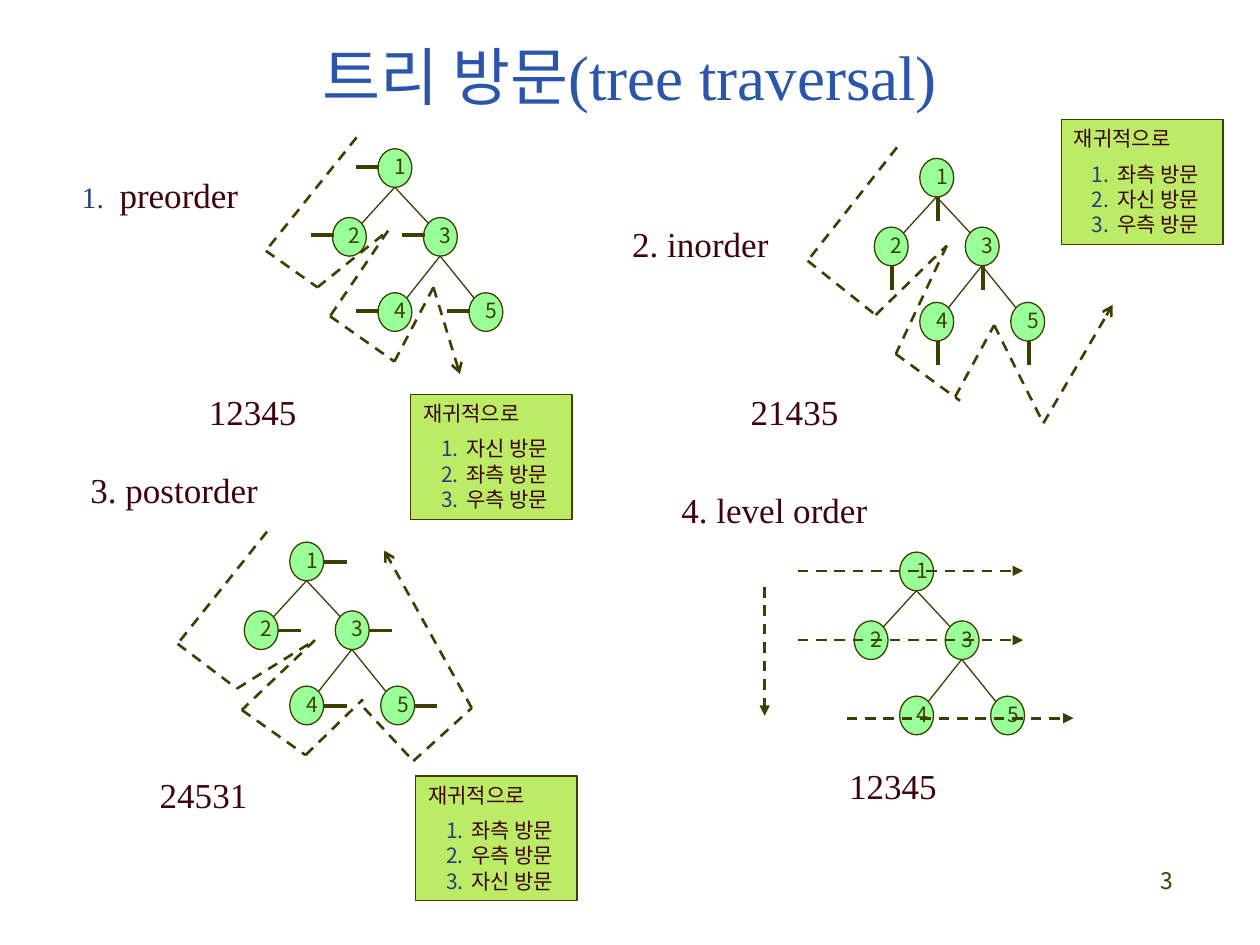
import itertools
import pptx
import pptx.util
import pptx.dml.color
import pptx.enum.dml
import pptx.enum.shapes
import pptx.enum.text
import pptx.oxml.ns
from dataclasses import dataclass
from lxml import etree

Pt = pptx.util.Pt
RGB = pptx.dml.color.RGBColor.from_string
qn = pptx.oxml.ns.qn
Kind = pptx.enum.shapes.MSO_SHAPE
Align = pptx.enum.text.PP_ALIGN
Anchor = pptx.enum.text.MSO_ANCHOR


@dataclass
class Theme:
    ink: str = "3F3E00"
    text: str = "3E020C"
    blue: str = "2A55AA"
    mark: str = "204080"
    node: str = "99FF99"
    card: str = "BCEB65"
    serif: str = "Times New Roman"
    sans: str = "Noto Sans CJK KR"
    title: float = 36
    head: float = 20
    page: float = 13
    small: float = 12
    thin: float = 0.75
    dash: float = 1.5
    bold: float = 2.25


look = Theme()
deck = pptx.Presentation()
deck.slide_width, deck.slide_height = Pt(720), Pt(540)
slide = deck.slides.add_slide(deck.slide_layouts[6])
shapes = slide.shapes


def write(shape, words, size, font, tone, align=Align.LEFT, indent=0, wrap=True):
    """Fill a shape with text; an indent turns its lines into a numbered list."""
    frame = shape.text_frame
    frame.text = words
    frame.word_wrap = wrap
    for para in frame.paragraphs:
        para.alignment = align
        run = para.runs[0]
        run.font.size = Pt(size)
        run.font.name = font
        run.font.color.rgb = RGB(tone)
        east = etree.SubElement(run.font._element, qn("a:ea"))
        east.set("typeface", look.sans)
        if indent:
            props = para._p.get_or_add_pPr()
            props.set("marL", str(Pt(indent)))
            props.set("indent", str(-Pt(indent)))
            paint = etree.SubElement(props, qn("a:buClr"))
            etree.SubElement(paint, qn("a:srgbClr")).set("val", look.mark)
            if size == look.head:
                etree.SubElement(props, qn("a:buSzPct")).set("val", "85000")
            etree.SubElement(props, qn("a:buFont")).set("typeface", look.sans)
            etree.SubElement(props, qn("a:buAutoNum")).set("type", "arabicPeriod")


def trace(points, width, dash=False, tip=None):
    """Join the points with straight lines; the tip is an arrowhead at the end."""
    for start, end in itertools.pairwise(points):
        line = shapes.add_connector(
            pptx.enum.shapes.MSO_CONNECTOR.STRAIGHT, *map(Pt, start + end))
        line.line.color.rgb = RGB(look.ink)
        line.line.width = Pt(width)
        if dash:
            line.line.dash_style = pptx.enum.dml.MSO_LINE.DASH
        if tip and end == points[-1]:
            etree.SubElement(line.line._get_or_add_ln(), qn("a:tailEnd")).set("type", tip)
        etree.SubElement(line._element.spPr, qn("a:effectLst"))


# Title and page number
title = shapes.add_textbox(Pt(54), Pt(12.2), Pt(612), Pt(61.2))
write(title, "트리 방문(tree traversal)", look.title, look.serif, look.blue, Align.CENTER)
title.text_frame.vertical_anchor = Anchor.MIDDLE
page = shapes.add_textbox(Pt(527.8), Pt(491.8), Pt(149.8), Pt(36))
write(page, "3", look.page, look.sans, look.ink, Align.RIGHT)

# Headings
heads = [
    ("preorder", 39.6, 95.8, 21.6),
    ("2. inorder", 354.2, 123.8, 0),
    ("3. postorder", 44.6, 264.2, 0),
    ("4. level order", 382.3, 275.8, 0),
]
for words, left, top, indent in heads:
    head = shapes.add_textbox(Pt(left), Pt(top), Pt(123.8), Pt(31.7))
    write(head, words, look.head, look.serif, look.text, indent=indent)

# Trees: corner of the root, and the visit mark beside each node
nodes = [(0, 0), (-26, 39.3), (26, 39.3), (0, 82.3), (52, 82.3)]
edges = [
    [(-9.4, 42.8), (9.6, 22), (29, 42.8)],
    [(16.5, 85.2), (35.5, 61.3), (54.8, 85.2)],
]
trees = [
    (216, 85, [(-12.4, 10.2), (0.7, 10.2)]),
    (525.6, 90.5, [(10.2, 22.3), (10.2, 36)]),
    (165.6, 309.8, [(19.3, 11.2), (32.4, 11.2)]),
    (514.1, 315.5, []),
]
for left, top, mark in trees:
    for label, (x, y) in enumerate(nodes, 1):
        node = shapes.add_shape(Kind.OVAL, Pt(left + x), Pt(top + y), Pt(19.4), Pt(22.1))
        node.shadow.inherit = False
        node.fill.solid()
        node.fill.fore_color.rgb = RGB(look.node)
        node.line.color.rgb = RGB(look.ink)
        node.line.width = Pt(look.thin)
        write(node, str(label), look.small, look.sans, look.ink, Align.CENTER)
        node.text_frame.paragraphs[0].line_spacing = 0.9
        trace([(left + x + a, top + y + b) for a, b in mark], look.bold)
    for edge in edges:
        trace([(left + a, top + b) for a, b in edge], look.thin)

# Dashed visiting routes
routes = [
    ("arrow", [(203.8, 78.5), (151.9, 143.3), (181.4, 164.2), (221.8, 131.8),
               (188.6, 180.7), (225.4, 206.6), (247.7, 164.2), (262.8, 213.8)]),
    (None, [(512.6, 84.2), (461.5, 149), (500.4, 180), (541, 140.4),
            (511.9, 202.3), (548.6, 229)]),
    ("arrow", [(545.8, 226.8), (568.1, 185.8), (596.2, 241.9), (635.8, 174.2)]),
    (None, [(152.6, 303.8), (101.5, 367.9), (135.4, 393.5), (180, 365.8),
            (138.2, 405.7), (174.6, 431.5), (207.4, 399.6)]),
    ("arrow", [(208.1, 404.6), (236.2, 434.9), (269.6, 404.6), (219.6, 314.6)]),
    ("triangle", [(455.8, 326.2), (584.6, 326.2)]),
    ("triangle", [(455.8, 365.8), (584.6, 365.8)]),
    ("triangle", [(483.8, 410.4), (613.4, 410.4)]),
    ("triangle", [(437, 335.5), (437, 409)]),
]
for tip, points in routes:
    trace(points, look.dash, True, tip)

# Visiting results
sums = [("12345", 112.3, 219.6), ("21435", 421.9, 219.6),
        ("24531", 84.2, 438.5), ("12345", 478.1, 433.4)]
for words, left, top in sums:
    total = shapes.add_textbox(Pt(left), Pt(top), Pt(64.8), Pt(31.7))
    write(total, words, look.head, look.serif, look.text, wrap=False)

# Cards with the recursive steps
cards = [(234.7, 225.4, "자신 좌측 우측"), (606.6, 68.4, "좌측 자신 우측"),
         (237.6, 443.5, "좌측 우측 자신")]
for left, top, order in cards:
    group = shapes.add_group_shape().shapes
    card = group.add_shape(Kind.RECTANGLE, Pt(left), Pt(top), Pt(92.2), Pt(71.3))
    card.shadow.inherit = False
    card.fill.solid()
    card.fill.fore_color.rgb = RGB(look.card)
    card.line.color.rgb = RGB(look.ink)
    card.line.width = Pt(look.thin)
    steps = group.add_textbox(Pt(left + 10.3), Pt(top + 20.2), Pt(81.4), Pt(51.1))
    lines = "\n".join(f"{step} 방문" for step in order.split())
    write(steps, lines, look.small, look.sans, look.text, indent=14.4)
    lead = group.add_textbox(Pt(left), Pt(top), Pt(79.2), Pt(21.6))
    write(lead, "재귀적으로", look.small, look.sans, look.text)

deck.save("out.pptx")
